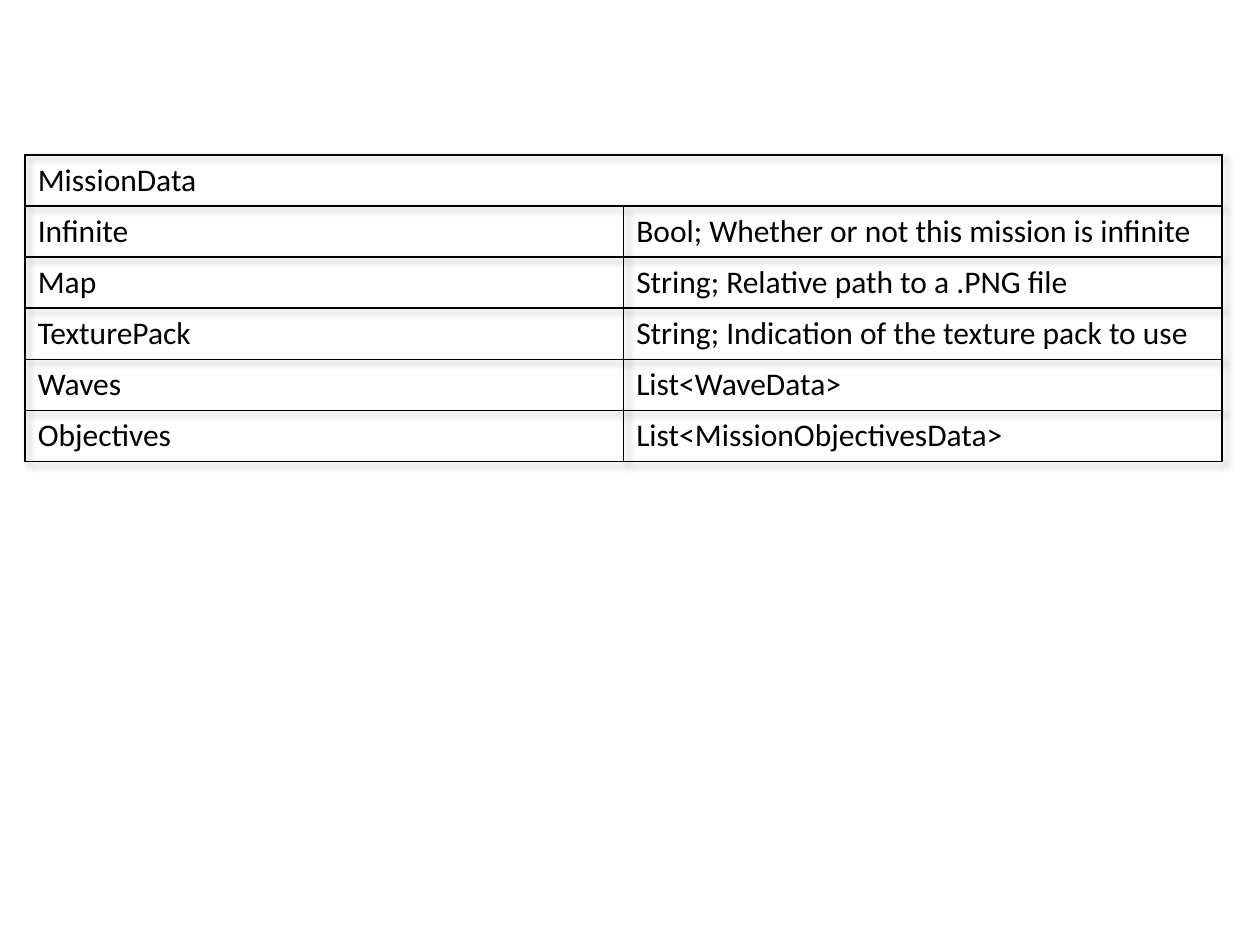
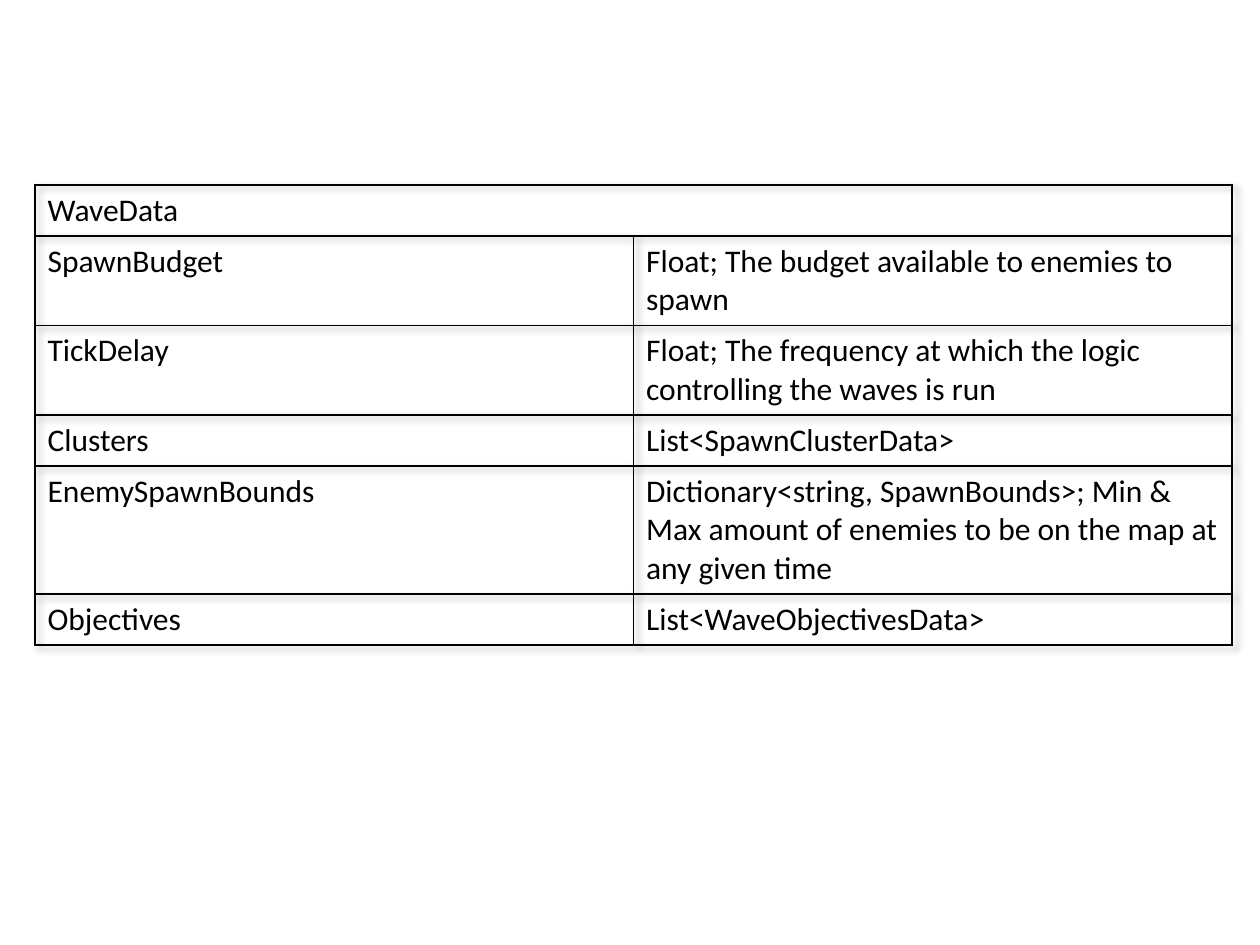
from lxml import etree
from pptx import Presentation
from pptx import util as u
from pptx.dml import color
from pptx.oxml import ns

COLORS = {"ink": "000000", "paper": "FFFFFF"}
FONT, TEXT_SIZE = "Calibri", 18
COLUMN_WIDTH, ROW_HEIGHT = 342, 29.2
BORDER_WIDTH = 1


def add_effect_color(parent, name):
    """Add a preset-free RGB colour from the palette below an XML element."""
    return etree.SubElement(parent, ns.qn("a:srgbClr"), val=COLORS[name])


def write_cell(cell, words):
    """Give a cell its black grid lines, no fill, and its text."""
    cell.fill.background()
    properties = cell._tc.get_or_add_tcPr()
    for index, side in enumerate(("lnL", "lnR", "lnT", "lnB")):
        border = etree.Element(ns.qn("a:" + side), w=str(u.Pt(BORDER_WIDTH)))
        add_effect_color(etree.SubElement(border, ns.qn("a:solidFill")), "ink")
        properties.insert(index, border)
    if words:
        run = cell.text_frame.paragraphs[0].add_run()
        run.text = words
        run.font.name = FONT
        run.font.size = u.Pt(TEXT_SIZE)
        run.font.color.rgb = color.RGBColor.from_string(COLORS["ink"])


# Each data class: name, left and top in points, then its fields
data_classes = [
    ("MissionData", 14.4, 88.5, [
        ("Infinite", "Bool; Whether or not this mission is infinite"),
        ("Map", "String; Relative path to a .PNG file"),
        ("TexturePack", "String; Indication of the texture pack to use"),
        ("Waves", "List<WaveData>"),
        ("Objectives", "List<MissionObjectivesData>"),
    ]),
    ("WaveData", 20, 105.6, [
        ("SpawnBudget", "Float; The budget available to enemies to spawn"),
        ("TickDelay", "Float; The frequency at which the logic controlling "
                      "the waves is run"),
        ("Clusters", "List<SpawnClusterData>"),
        ("EnemySpawnBounds", "Dictionary<string, SpawnBounds>; Min & Max amount "
                             "of enemies to be on the map at any given time"),
        ("Objectives", "List<WaveObjectivesData>"),
    ]),
]

deck = Presentation()
deck.slide_width, deck.slide_height = u.Pt(720), u.Pt(540)
master_fill = deck.slide_master.background.fill
master_fill.solid()
master_fill.fore_color.rgb = color.RGBColor.from_string(COLORS["paper"])
blank_layout = deck.slide_layouts[6]

for class_name, left, top, fields in data_classes:
    slide = deck.slides.add_slide(blank_layout)
    rows = [(class_name, "")] + fields
    field_table = slide.shapes.add_table(
        len(rows), 2, u.Pt(left), u.Pt(top),
        u.Pt(2 * COLUMN_WIDTH), u.Pt(ROW_HEIGHT * len(rows))).table
    field_table.first_row = False
    field_table.horz_banding = False

    # Soft shadow towards the lower right of the grid
    effects = etree.Element(ns.qn("a:effectLst"))
    shadow = etree.SubElement(
        effects, ns.qn("a:outerShdw"), blurRad=str(u.Pt(4)), dist=str(u.Pt(3)),
        dir="2700000", algn="tl", rotWithShape="0")
    etree.SubElement(add_effect_color(shadow, "ink"), ns.qn("a:alpha"), val="40000")
    field_table._tbl.tblPr.insert(0, effects)

    for row_index, row in enumerate(rows):
        field_table.rows[row_index].height = u.Pt(ROW_HEIGHT)
        for column_index, words in enumerate(row):
            write_cell(field_table.cell(row_index, column_index), words)
    field_table.cell(0, 0).merge(field_table.cell(0, 1))

deck.save("out.pptx")
